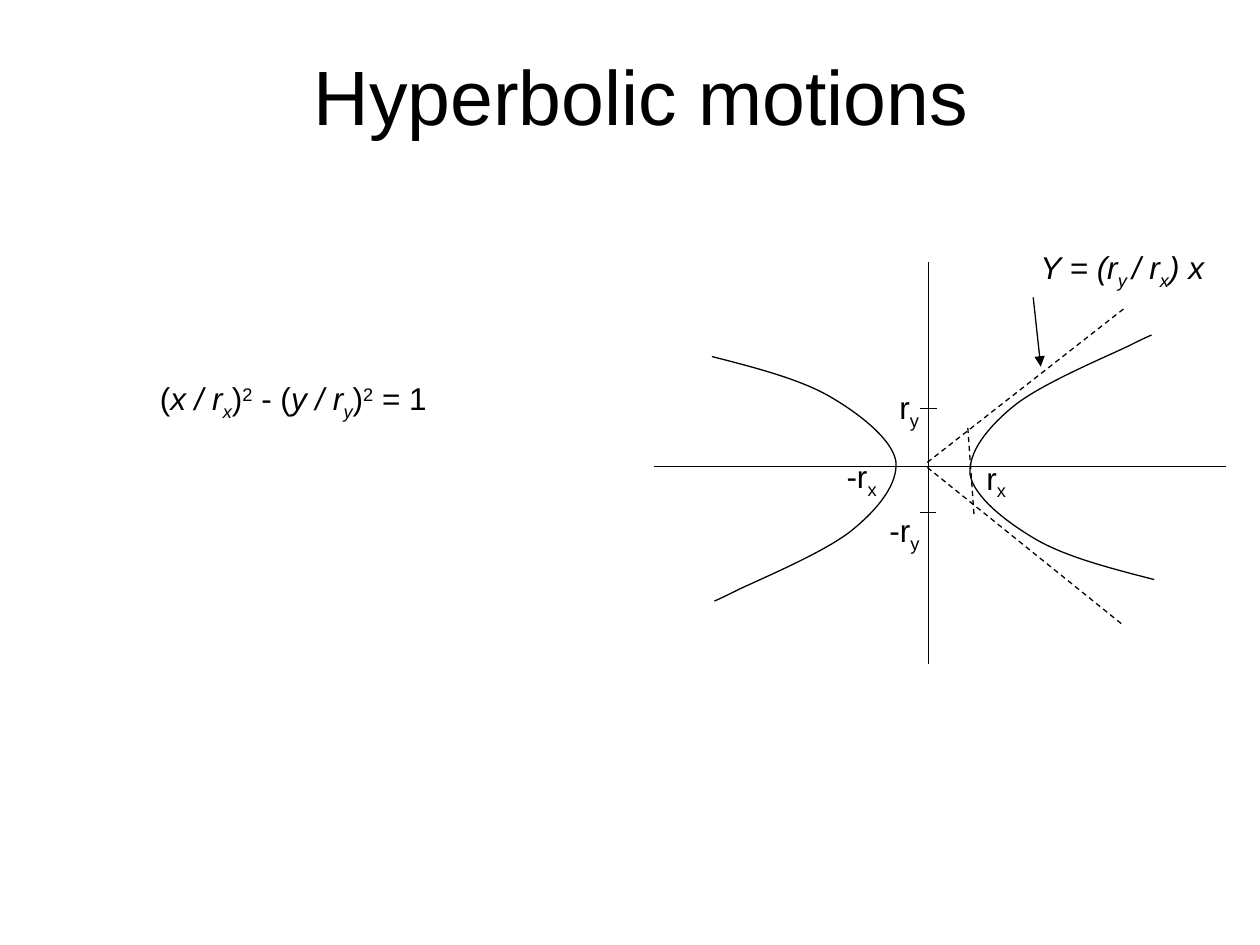
from dataclasses import dataclass

from lxml.etree import SubElement
from pptx import Presentation
from pptx.dml.color import RGBColor
from pptx.enum.dml import MSO_LINE
from pptx.enum.shapes import MSO_CONNECTOR
from pptx.enum.text import MSO_ANCHOR, MSO_AUTO_SIZE, PP_ALIGN
from pptx.oxml.ns import qn
from pptx.slide import Slide
from pptx.util import Emu, Pt

PX = 9144  # 100 px to the inch
COLORS = {"ink": "000000"}
FONT = "Arial"
SUB, SUP = -25, 30

Point = tuple[int, int]


@dataclass
class Line:
    start: Point
    end: Point
    dash: bool = False
    arrow: bool = False


@dataclass
class Run:
    text: str
    base: int = 0
    slant: bool = False


@dataclass
class Label:
    box: tuple[int, int, int, int]
    runs: list[Run]
    wrap: bool = False


def px(n: int) -> Emu:
    return Emu(n * PX)


def ink() -> RGBColor:
    return RGBColor.from_string(COLORS["ink"])


def style(font, size: int) -> None:
    font.name, font.size = FONT, Pt(size)
    font.color.rgb = ink()


def stroke(line) -> None:
    line.color.rgb = ink()
    line.width = Pt(0.75)


def add_line(slide: Slide, item: Line) -> None:
    shape = slide.shapes.add_connector(
        MSO_CONNECTOR.STRAIGHT, *map(px, item.start + item.end))
    stroke(shape.line)
    if item.dash:
        shape.line.dash_style = MSO_LINE.DASH
    if item.arrow:
        SubElement(shape.line._get_or_add_ln(), qn("a:tailEnd"), type="triangle")
    SubElement(shape._element.spPr, qn("a:effectLst"))


def add_curve(slide: Slide, points: list[Point]) -> None:
    """Draw a start point followed by triples of cubic Bézier points."""
    build = slide.shapes.build_freeform(*points[0], scale=PX)
    build.add_line_segments(points[1:], close=False)
    shape = build.convert_to_shape()
    shape.fill.background()
    stroke(shape.line)
    shape.shadow.inherit = False
    path = next(shape._element.iter(qn("a:path")))
    steps = path.findall(qn("a:lnTo"))
    for i in range(0, len(steps), 3):
        cubic = SubElement(path, qn("a:cubicBezTo"))
        for step in steps[i:i + 3]:
            cubic.append(step[0])
            path.remove(step)


def add_label(slide: Slide, label: Label) -> None:
    frame = slide.shapes.add_textbox(*map(px, label.box)).text_frame
    frame.word_wrap = label.wrap
    frame.auto_size = MSO_AUTO_SIZE.SHAPE_TO_FIT_TEXT
    para = frame.paragraphs[0]
    style(para.font, 18)
    for part in label.runs:
        run = para.add_run()
        run.text = part.text
        style(run.font, 18)
        run.font.italic = part.slant
        if part.base:
            run._r.get_or_add_rPr().set("baseline", str(part.base * 1000))


def add_title(slide: Slide, text: str) -> None:
    title = slide.shapes.title
    title.left, title.top, title.width, title.height = map(px, (59, 38, 900, 75))
    frame = title.text_frame
    frame.text = text
    frame.vertical_anchor = MSO_ANCHOR.MIDDLE
    para = frame.paragraphs[0]
    para.alignment = PP_ALIGN.CENTER
    style(para.font, 44)


def radius(left: int, top: int, width: int, name: str, axis: str) -> Label:
    return Label((left, top, width, 40), [Run(name), Run(axis, SUB)])


LEFT = [(565, 283),
        (600, 292), (635, 301), (659, 315),
        (683, 329), (708, 349), (711, 366),
        (713, 384), (697, 404), (676, 421),
        (655, 438), (605, 459), (586, 468),
        (568, 477), (567, 477), (567, 477)]
RIGHT = [(1481 - x, 743 - y) for x, y in LEFT]

LINES = [
    Line((737, 208), (737, 527)),
    Line((519, 370), (973, 370)),
    Line((730, 324), (744, 324)),
    Line((730, 407), (743, 407)),
    Line((736, 367), (892, 245), dash=True),
    Line((736, 371), (890, 495), dash=True),
    Line((773, 408), (768, 338), dash=True),
    Line((820, 236), (826, 291), arrow=True),
]

LABELS = [
    radius(773, 359, 37, "r", "x"),
    radius(662, 358, 45, "-r", "x"),
    radius(704, 303, 37, "r", "y"),
    radius(696, 401, 45, "-r", "y"),
    Label((816, 192, 184, 40), [
        Run("Y = (r", slant=True), Run("y ", SUB, True),
        Run("/ r", slant=True), Run("x", SUB, True),
        Run(") x", slant=True)], wrap=True),
    Label((117, 296, 239, 40), [
        Run("("), Run("x / r", slant=True), Run("x", SUB, True),
        Run(")"), Run("2", SUP), Run(" - ("),
        Run("y / r", slant=True), Run("y", SUB, True),
        Run(")"), Run("2", SUP), Run(" = 1")]),
]


def main() -> None:
    deck = Presentation()
    deck.slide_width, deck.slide_height = px(1000), px(750)
    slide = deck.slides.add_slide(deck.slide_layouts[5])
    add_title(slide, "Hyperbolic motions")
    for curve in (LEFT, RIGHT):
        add_curve(slide, curve)
    for line in LINES:
        add_line(slide, line)
    for label in LABELS:
        add_label(slide, label)
    deck.save("out.pptx")


if __name__ == "__main__":
    main()
